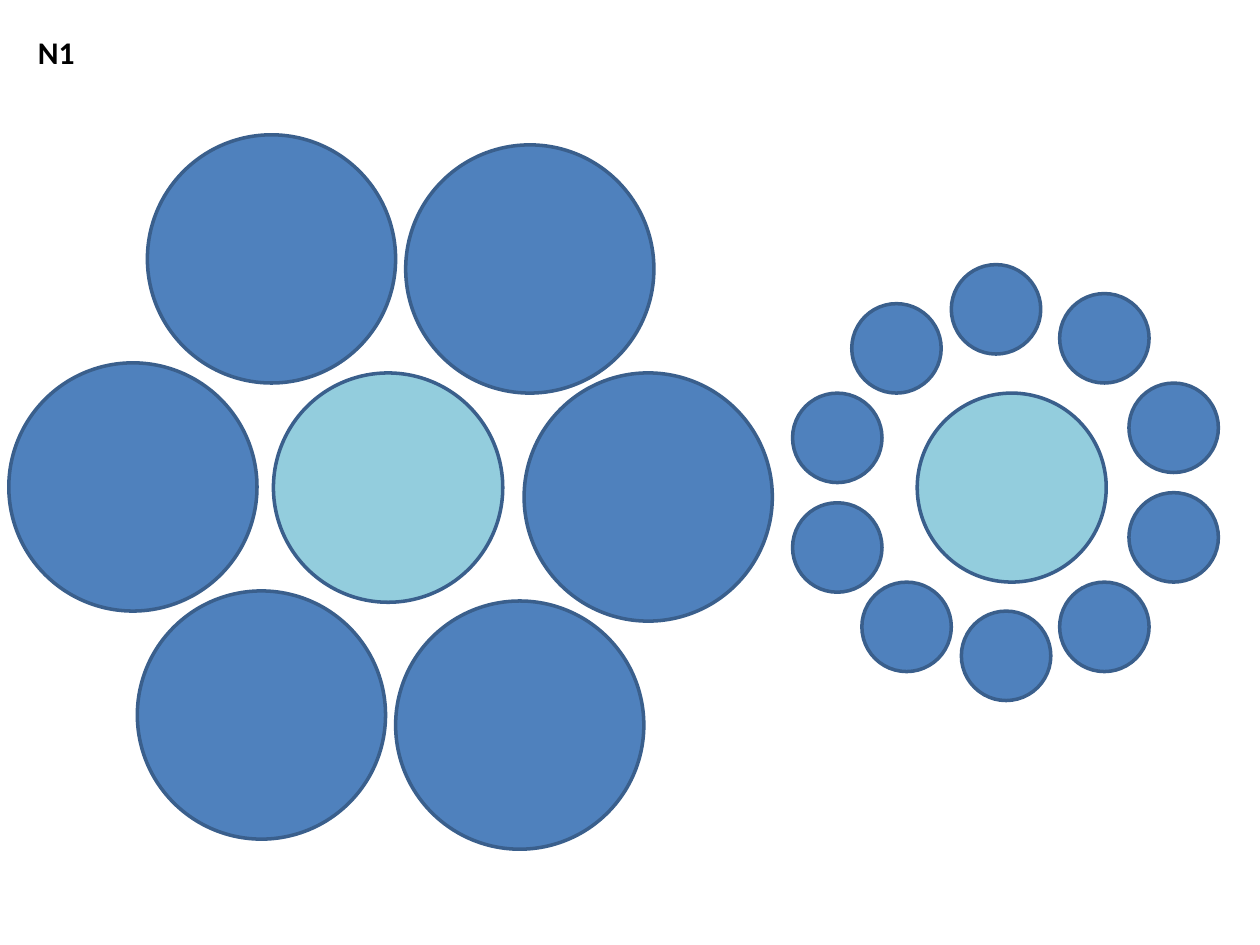
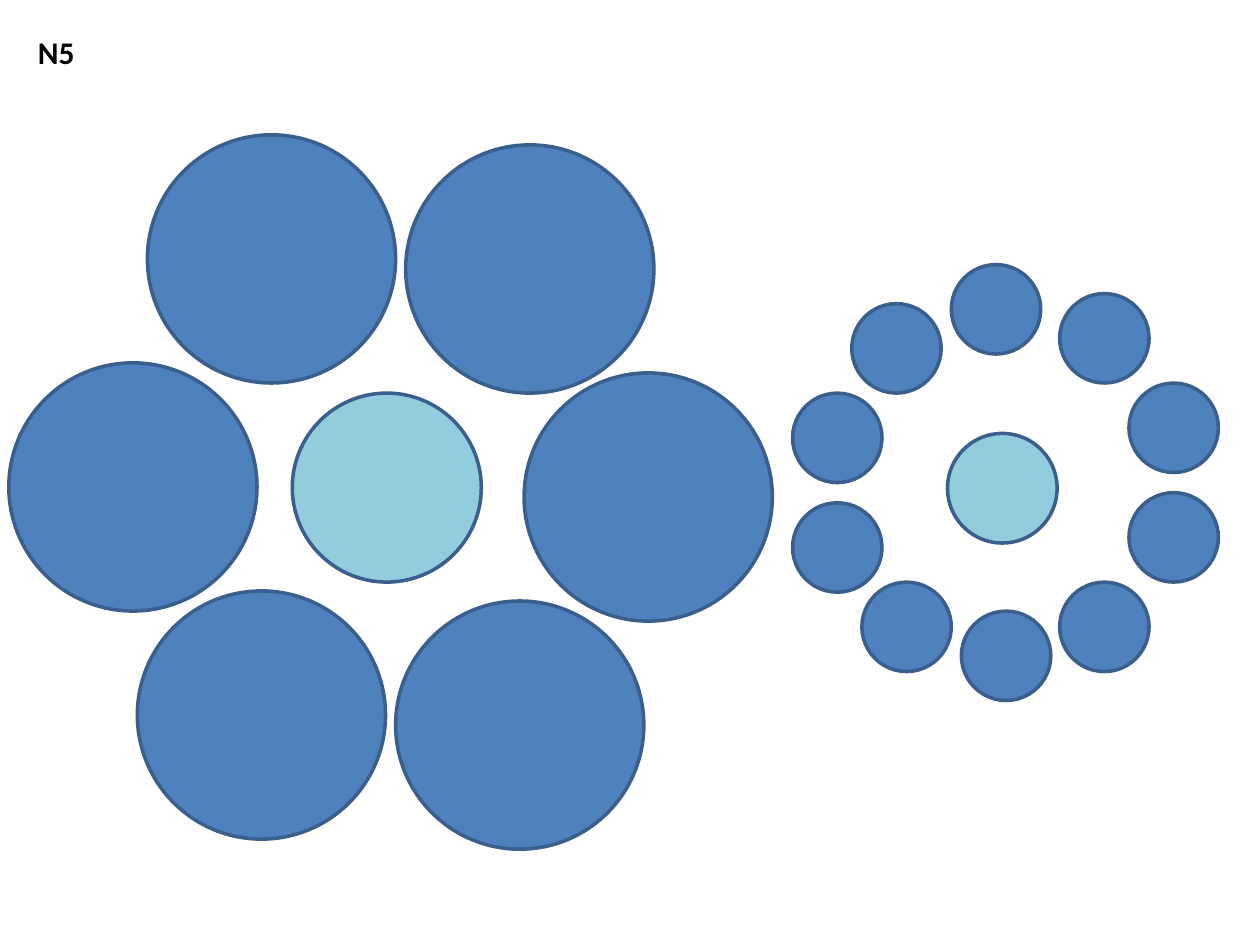
from pptx import Presentation
from pptx.dml.color import RGBColor as Rgb
from pptx.enum.shapes import MSO_SHAPE as Shape
from pptx.enum.text import MSO_ANCHOR as Anchor, MSO_AUTO_SIZE as Fit, PP_ALIGN as Align
from pptx.util import Inches, Pt

# Colours
BLACK = Rgb(0x00, 0x00, 0x00)
BLUE = Rgb(0x4F, 0x81, 0xBD)
AQUA = Rgb(0x93, 0xCD, 0xDD)
EDGE = Rgb(0x3A, 0x5F, 0x8C)

# Rings around the two centre discs: diameter and top left corners
BIG = 1.97
BIG_RING = [(0.07, 2.88), (1.09, 4.69), (1.17, 1.07),
            (3.22, 1.15), (4.16, 2.96), (3.14, 4.77)]
SMALL = 0.71
SMALL_RING = [(7.63, 4.85), (6.84, 4.62), (8.41, 4.62), (8.96, 3.91),
              (6.29, 3.99), (6.29, 3.12), (6.76, 2.41), (7.55, 2.1),
              (8.41, 2.33), (8.96, 3.04)]

# Label, then left, top and diameter of each centre disc
TRIALS = [
    ("N1", [(2.17, 2.96, 1.82), (7.28, 3.12, 1.5)]),
    ("N5", [(2.32, 3.12, 1.5), (7.52, 3.44, 0.87)]),
]


def assign(item, values):
    for name, value in values.items():
        setattr(item, name, value)


class Deck:
    font = {"name": "Calibri", "size": Pt(18), "bold": True}
    frame = {"word_wrap": False, "vertical_anchor": Anchor.TOP,
             "auto_size": Fit.SHAPE_TO_FIT_TEXT}
    place = {"left": Inches(0.2), "top": Inches(0.21),
             "width": Inches(0.55), "height": Inches(0.4)}

    def __init__(self):
        self.prs = Presentation()
        assign(self.prs, {"slide_width": Inches(10), "slide_height": Inches(7.5)})
        self.slide = None

    def page(self, label):
        """Start a slide with its label as the title."""
        self.slide = self.prs.slides.add_slide(self.prs.slide_layouts[5])
        title = self.slide.shapes.title
        assign(title, self.place)
        title.text = label
        assign(title.text_frame, self.frame)
        para = title.text_frame.paragraphs[0]
        para.alignment = Align.LEFT
        font = para.runs[0].font
        assign(font, self.font)
        font.color.rgb = BLACK

    def disc(self, left, top, size, fill):
        """Draw one outlined circle."""
        shape = self.slide.shapes.add_shape(
            Shape.OVAL, Inches(left), Inches(top), Inches(size), Inches(size))
        shape.shadow.inherit = False
        shape.fill.solid()
        shape.fill.fore_color.rgb = fill
        shape.line.color.rgb = EDGE
        shape.line.width = Pt(2)

    def ring(self, spots, size):
        """Draw the equal circles around a centre disc."""
        for left, top in spots:
            self.disc(left, top, size, BLUE)


def main():
    deck = Deck()
    for label, centres in TRIALS:
        deck.page(label)
        for left, top, size in centres:
            deck.disc(left, top, size, AQUA)
        deck.ring(BIG_RING, BIG)
        deck.ring(SMALL_RING, SMALL)
    deck.prs.save("out.pptx")


if __name__ == "__main__":
    main()
